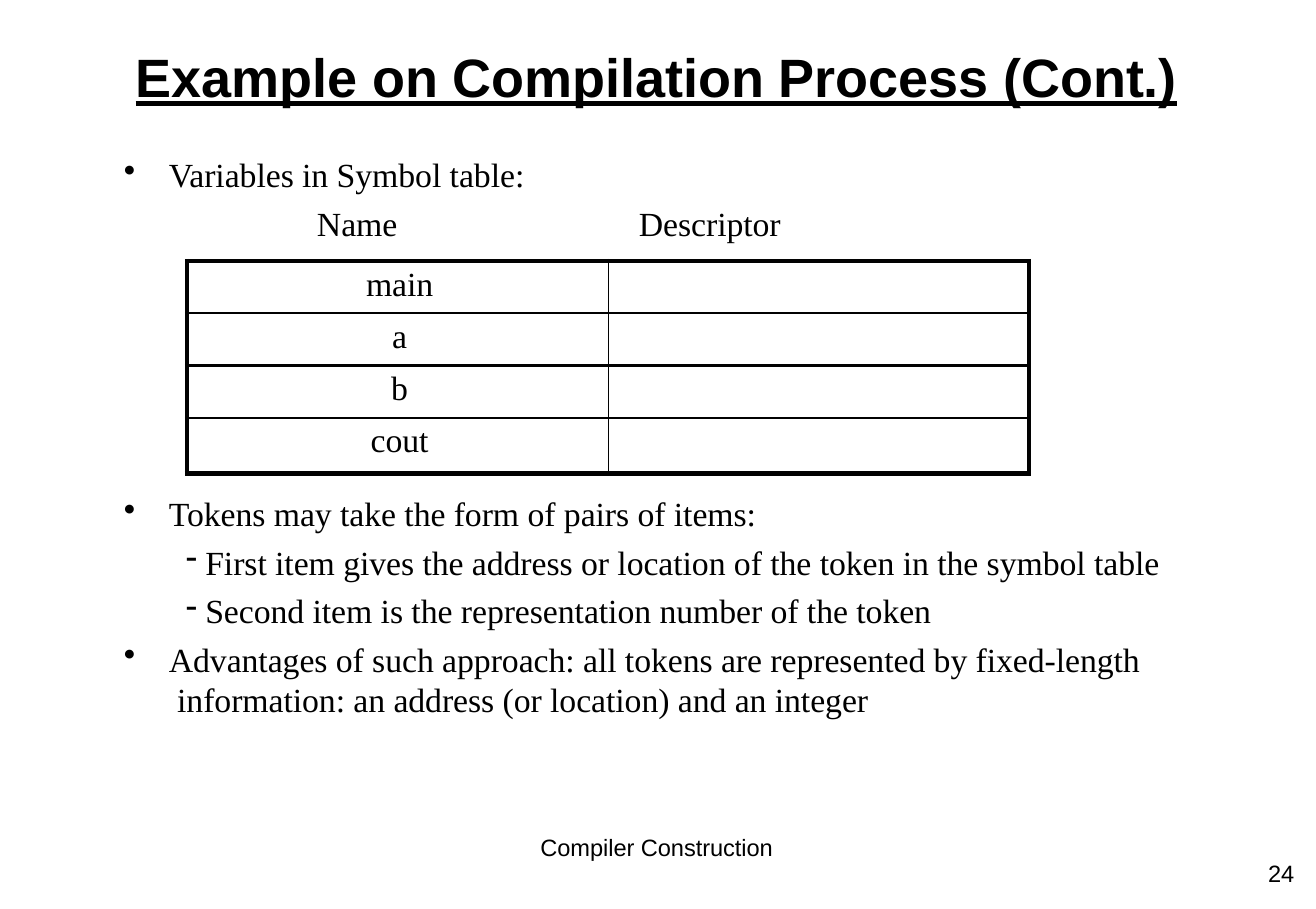
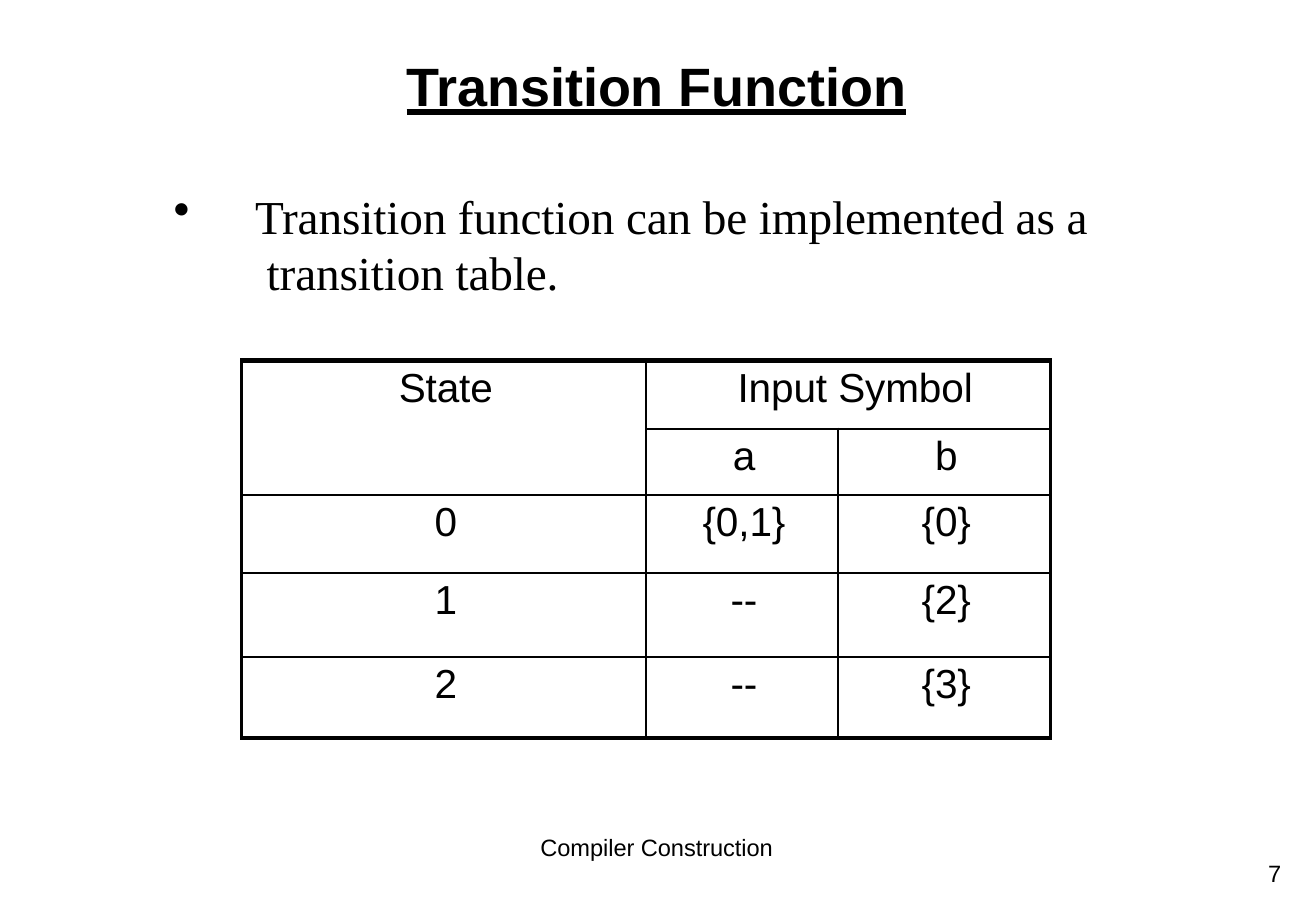
from lxml import etree
from pptx import Presentation, util as u
from pptx.dml.color import RGBColor
from pptx.enum import text as t
from pptx.oxml import ns

BLACK = RGBColor(0, 0, 0)
RULE = RGBColor(1, 1, 1)
WHITE = RGBColor(255, 255, 255)
SANS, SERIF = "Arial", "Times New Roman"
SLIDE_POINTS = (780, 539)
BAND = 10.81
FOOTER = "Compiler Construction"
BULLET = ("•", 0.39, 0.37)
DASH = ("-", 0.69, 0.16)
WIDE_BULLET = ("•", 0.68, 0.67)
PLAIN = (None, 0, 0)

SLIDES = [
    {
        "title": ("Example on Compilation Process (Cont.)", 0.36),
        "number": "24",
        "size": 20,
        "bodies": [
            ((1, 1.27, 5.86, 0.4), [(BULLET, "Variables in Symbol table:")]),
            ((2.61, 1.67, 2, 0.4), [(PLAIN, "Name")]),
            ((5.26, 1.67, 2, 0.4), [(PLAIN, "Descriptor")]),
            ((1, 4.06, 9, 1.9), [
                (BULLET, "Tokens may take the form of pairs of items:"),
                (DASH, "First item gives the address or location of the token "
                       "in the symbol table"),
                (DASH, "Second item is the representation number of the token"),
                (BULLET, "Advantages of such approach: all tokens are represented "
                         "by fixed-length\v information: an address (or location) "
                         "and an integer"),
            ]),
        ],
        "table": {
            "at": (1.54, 2.15),
            "font": (SERIF, 20),
            "columns": [3.47, 3.46],
            "rows": [0.43, 0.43, 0.43, 0.46],
            "verticals": [3, 1, 2.25],
            "cells": [["main", ""], ["a", ""], ["b", ""], ["cout", ""]],
            "merges": [],
        },
    },
    {
        "title": ("Transition Function", 0.43),
        "number": "7",
        "size": 28,
        "bodies": [
            ((1.42, 1.54, 8, 0.96), [
                (WIDE_BULLET, "Transition function can be implemented as a\v "
                              "transition table."),
            ]),
        ],
        "table": {
            "at": (1.99, 2.97),
            "font": (SANS, 24),
            "columns": [3.33, 1.58, 1.75],
            "rows": [0.56, 0.55, 0.64, 0.69, 0.67],
            "verticals": [2.25, 1.5, 1, 2.25],
            "cells": [
                ["State", "Input Symbol", ""],
                ["", "a", "b"],
                ["0", "{0,1}", "{0}"],
                ["1", "--", "{2}"],
                ["2", "--", "{3}"],
            ],
            "merges": [((0, 0), (1, 0)), ((0, 1), (0, 2))],
        },
    },
]


def style(paragraph, face, size, bold=False, underline=False):
    font = paragraph.font
    font.name, font.size = face, u.Pt(size)
    font.bold, font.underline = bold, underline
    font.color.rgb = BLACK
    paragraph._p.pPr.find(ns.qn("a:defRPr")).set("spc", "-5")


def add_frame(slide, left, top, width, height):
    box = slide.shapes.add_textbox(*map(u.Inches, (left, top, width, height)))
    frame = box.text_frame
    frame.word_wrap = True
    frame.margin_left = frame.margin_right = 0
    frame.margin_top = frame.margin_bottom = 0
    return frame


def add_line(slide, place, words, size, align=t.PP_ALIGN.CENTER, **look):
    paragraph = add_frame(slide, *place).paragraphs[0]
    paragraph.text = words
    paragraph.alignment = align
    style(paragraph, SANS, size, **look)


def add_body(slide, place, items, size):
    frame = add_frame(slide, *place)
    for index, ((mark, indent, hang), words) in enumerate(items):
        paragraph = frame.paragraphs[0] if index == 0 else frame.add_paragraph()
        paragraph.text = words
        if mark:
            properties = paragraph._p.get_or_add_pPr()
            properties.set("marL", str(u.Inches(indent)))
            properties.set("indent", str(-u.Inches(hang)))
            etree.SubElement(properties, ns.qn("a:buChar"), char=mark)
        if index:
            paragraph.space_before = u.Pt(4.8)
        style(paragraph, SERIF, size)


def set_borders(cell, widths):
    properties = cell._tc.get_or_add_tcPr()
    for position, (side, width) in enumerate(zip("LRTB", widths)):
        line = etree.Element(ns.qn("a:ln" + side), w=str(u.Pt(width)))
        fill = etree.SubElement(line, ns.qn("a:solidFill"))
        etree.SubElement(fill, ns.qn("a:srgbClr"), val=str(RULE))
        properties.insert(position, line)


def add_grid(slide, data):
    columns, rows = data["columns"], data["rows"]
    place = (*data["at"], sum(columns), sum(rows))
    table = slide.shapes.add_table(
        len(rows), len(columns), *map(u.Inches, place)).table
    table.first_row = table.horz_banding = False
    for column, width in zip(table.columns, columns):
        column.width = u.Inches(width)
    for row, height in zip(table.rows, rows):
        row.height = u.Inches(height)
    for first, last in data["merges"]:
        table.cell(*first).merge(table.cell(*last))
    verticals = data["verticals"]
    horizontals = [3] + [1.5] * (len(rows) - 1) + [3]
    for r, line in enumerate(data["cells"]):
        for c, words in enumerate(line):
            cell = table.cell(r, c)
            cell.fill.background()
            if cell.is_spanned:
                continue
            down, across = 1, 1
            if cell.is_merge_origin:
                down, across = cell.span_height, cell.span_width
            cell.margin_left = u.Inches(0.03 if across == 1 else 0.11)
            cell.margin_right = cell.margin_bottom = 0
            cell.margin_top = u.Inches(0.04)
            paragraph = cell.text_frame.paragraphs[0]
            paragraph.text = words
            paragraph.alignment = t.PP_ALIGN.CENTER
            style(paragraph, *data["font"])
            set_borders(cell, (verticals[c], verticals[c + across],
                               horizontals[r], horizontals[r + down]))


def main():
    deck = Presentation()
    deck.slide_width, deck.slide_height = map(u.Pt, SLIDE_POINTS)
    background = deck.slide_master.background.fill
    background.solid()
    background.fore_color.rgb = WHITE
    for content in SLIDES:
        slide = deck.slides.add_slide(deck.slide_layouts[6])
        title, top = content["title"]
        add_line(slide, (0, top, BAND, 0.56), title, 32, bold=True,
                 underline=t.MSO_UNDERLINE.HEAVY_LINE)
        for place, items in content["bodies"]:
            add_body(slide, place, items, content["size"])
        add_grid(slide, content["table"])
        add_line(slide, (0, 6.86, BAND, 0.25), FOOTER, 14)
        add_line(slide, (10.44, 7.07, 0.3, 0.25), content["number"], 14,
                 t.PP_ALIGN.LEFT)
    deck.save("out.pptx")


if __name__ == "__main__":
    main()
